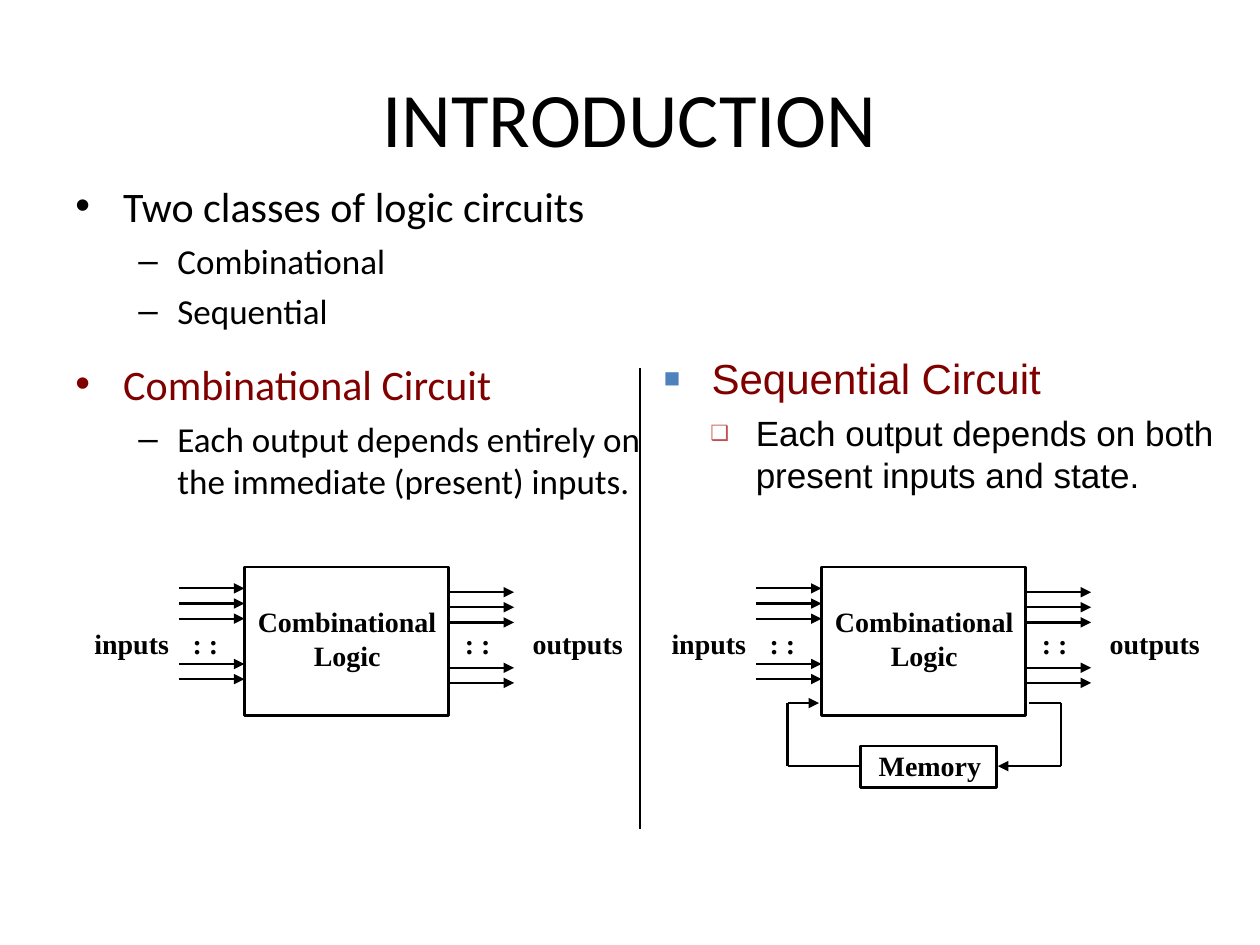
"""Build the introduction slide comparing combinational and sequential circuits."""
from dataclasses import dataclass

from lxml import etree
from pptx import Presentation
from pptx.dml.color import RGBColor
from pptx.enum.shapes import MSO_CONNECTOR, MSO_SHAPE
from pptx.enum.text import MSO_ANCHOR, PP_ALIGN
from pptx.oxml.ns import qn
from pptx.util import Pt

LINE, RECT = MSO_CONNECTOR.STRAIGHT, MSO_SHAPE.RECTANGLE
CENTER, LEFT = PP_ALIGN.CENTER, PP_ALIGN.LEFT
TOP, MIDDLE = MSO_ANCHOR.TOP, MSO_ANCHOR.MIDDLE
PX = 9144


@dataclass(frozen=True)
class Theme:
    ink: str = "000000"
    heading: str = "800000"
    square: str = "4F81BD"
    box: str = "C0504D"
    body: str = "Calibri"
    sans: str = "Arial"
    label: str = "Times New Roman"
    title_pt: int = 44
    head_pt: int = 24
    sub_pt: int = 20
    label_pt: int = 16
    thin: float = 0.75
    arrow: float = 1.25
    thick: float = 1.5


T = Theme()

TITLE = "INTRODUCTION"
CLASSES = [
    (0, "Two classes of logic circuits", T.ink, 0),
    (1, "Combinational", T.ink, 5),
    (1, "Sequential", T.ink, 5),
    (0, "Combinational Circuit", T.heading, 15),
    (1, "Each output depends entirely on the immediate (present) inputs.", T.ink, 5),
]
SEQUENTIAL = [
    (0, "Sequential Circuit", T.heading, 0),
    (1, "Each output depends on both present inputs and state.", T.ink, 5),
]
DASH_STYLE = [("•", None, 100, 38, 38), ("–", T.ink, 100, 81, 31)]
SQUARE_STYLE = [("■", T.square, 65, 38, 38), ("❑", T.box, 60, 73, 36)]

LABELS = [
    (["Combinational", "Logic"], (192, 475, 167, 64), (10, 5)),
    ([": :"], (142, 492, 42, 37), (10, 5)),
    ([": :"], (358, 492, 42, 37), (10, 5)),
    (["inputs"], (67, 492, 75, 37), (1, 5)),
    (["outputs"], (417, 492, 83, 37), (1, 5)),
]
LOGIC_BOX = (194, 450, 162, 118)
ARROW_SIDES = [(142, 467), (356, 470)]
ARROW_ROWS = [0, 1, 2, 5, 6]
ARROW_STEP, ARROW_LEN = 12, 52
SEQUENTIAL_DX = 458

MEMORY_BOX = (683, 592, 108, 33)
MEMORY_LABEL = (["Memory"], (692, 593, 92, 29), (1, 1))
FEEDBACK = [
    [(817, 558), (842, 558), (842, 608), (792, 608)],
    [(683, 608), (625, 608), (625, 558), (650, 558)],
]
DIVIDER = [(508, 292), (508, 658)]


def emu(values):
    return [v * PX for v in values]


def shift(rect, dx):
    return (rect[0] + dx, *rect[1:])


def add_text_box(shapes, rect, inset=(10, 5), anchor=TOP):
    tf = shapes.add_textbox(*emu(rect)).text_frame
    tf.word_wrap = True
    tf.vertical_anchor = anchor
    tf.margin_left = tf.margin_right = inset[0] * PX
    tf.margin_top = tf.margin_bottom = inset[1] * PX
    return tf


def add_paragraph(tf, first, text, font, size, color, bold=False, align=LEFT, before=0):
    p = tf.paragraphs[0] if first else tf.add_paragraph()
    p.alignment = align
    p.space_before = Pt(before)
    r = p.add_run()
    r.text = text
    r.font.name, r.font.size, r.font.bold = font, Pt(size), bold
    r.font.color.rgb = RGBColor.from_string(color)
    return p


def set_bullet(p, char, color, percent, margin, hang):
    ppr = p._p.get_or_add_pPr()
    ppr.set("marL", str(margin * PX))
    ppr.set("indent", str(-hang * PX))
    clr = etree.SubElement(ppr, qn("a:buClr"))
    etree.SubElement(clr, qn("a:srgbClr"), val=color)
    etree.SubElement(ppr, qn("a:buSzPct"), val=str(percent * 1000))
    etree.SubElement(ppr, qn("a:buFont"), typeface=T.sans)
    etree.SubElement(ppr, qn("a:buChar"), char=char)


def add_bullets(shapes, rect, items, styles, font):
    tf = add_text_box(shapes, rect)
    for i, (level, text, color, before) in enumerate(items):
        size = (T.head_pt, T.sub_pt)[level]
        p = add_paragraph(tf, i == 0, text, font, size, color, before=before)
        p.level = level
        char, bullet_color, percent, margin, hang = styles[level]
        set_bullet(p, char, bullet_color or color, percent, margin, hang)


def add_label(shapes, lines, rect, inset):
    tf = add_text_box(shapes, rect, inset)
    for i, text in enumerate(lines):
        add_paragraph(tf, i == 0, text, T.label, T.label_pt, T.ink, True, CENTER)


def add_outline(shapes, rect):
    sp = shapes.add_shape(RECT, *emu(rect))
    sp.shadow.inherit = False
    sp.fill.background()
    sp.line.color.rgb = RGBColor.from_string(T.ink)
    sp.line.width = Pt(T.thick)


def add_line(shapes, start, end, width, arrow=False):
    c = shapes.add_connector(LINE, *emu((*start, *end)))
    c.line.color.rgb = RGBColor.from_string(T.ink)
    c.line.width = Pt(width)
    if arrow:
        etree.SubElement(c.line._get_or_add_ln(), qn("a:tailEnd"), type="triangle")
    etree.SubElement(c._element.spPr, qn("a:effectLst"))


def add_logic(shapes, dx):
    for lines, rect, inset in LABELS:
        add_label(shapes, lines, shift(rect, dx), inset)
    add_outline(shapes, shift(LOGIC_BOX, dx))
    for x, top in ARROW_SIDES:
        for row in ARROW_ROWS:
            y = top + row * ARROW_STEP
            add_line(shapes, (x + dx, y), (x + dx + ARROW_LEN, y), T.arrow, True)


def add_memory(shapes):
    add_outline(shapes, MEMORY_BOX)
    add_label(shapes, *MEMORY_LABEL)
    for route in FEEDBACK:
        last = len(route) - 2
        for i, (start, end) in enumerate(zip(route, route[1:])):
            add_line(shapes, start, end, T.thick, i == last)


def main():
    prs = Presentation()
    prs.slide_width, prs.slide_height = emu((1000, 750))
    s = prs.slides.add_slide(prs.slide_layouts[6])
    tf = add_text_box(s.shapes, (50, 30, 900, 125), anchor=MIDDLE)
    add_paragraph(tf, True, TITLE, T.body, T.title_pt, T.ink, align=CENTER)
    add_bullets(s.shapes, (50, 138, 483, 537), CLASSES, DASH_STYLE, T.body)
    add_logic(s.shapes.add_group_shape().shapes, 0)
    add_bullets(s.shapes, (517, 275, 467, 167), SEQUENTIAL, SQUARE_STYLE, T.sans)
    add_line(s.shapes, *DIVIDER, T.thin)
    group = s.shapes.add_group_shape().shapes
    add_memory(group)
    add_logic(group, SEQUENTIAL_DX)
    prs.save("out.pptx")


if __name__ == "__main__":
    main()
